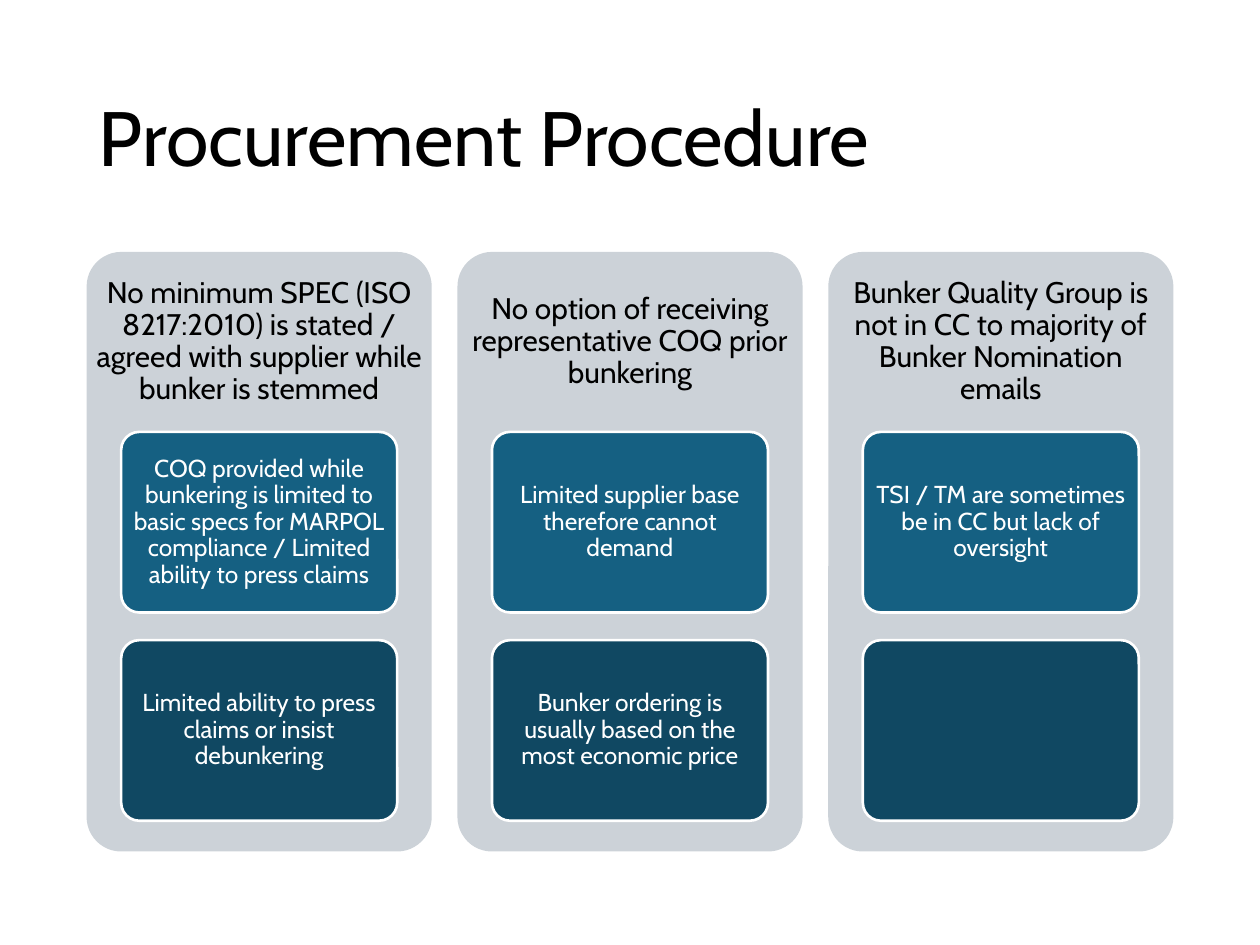
from pptx import Presentation
from pptx import util as u
from pptx.dml.color import RGBColor
from pptx.enum import shapes, text

HUES = {"ink": "000000", "white": "FFFFFF", "panel": "CCD2D8",
        "blue": "156082", "navy": "104862"}

COLS = [
    ("No minimum SPEC (ISO 8217:2010) is stated / agreed with supplier while "
     "bunker is stemmed",
     ["COQ provided while bunkering is limited to basic specs for MARPOL "
      "compliance / Limited ability to press claims",
      "Limited ability to press claims or insist debunkering"]),
    ("No option of receiving representative COQ prior bunkering",
     ["Limited supplier base therefore cannot demand",
      "Bunker ordering is usually based on the most economic price"]),
    ("Bunker Quality Group is not in CC to majority of Bunker Nomination emails",
     ["TSI / TM are sometimes be in CC but lack of oversight", ""]),
]


class Deck:
    def __init__(self, slide, font):
        self.slide = slide
        self.font = font

    def hue(self, name):
        return RGBColor.from_string(HUES[name])

    def put_text(self, shape, words, size, hue, align, pad):
        """Fill a shape's text frame; pad is (side, top and bottom) inset."""
        frame = shape.text_frame
        frame.word_wrap = True
        frame.vertical_anchor = text.MSO_ANCHOR.MIDDLE
        frame.margin_left = frame.margin_right = u.Pt(pad[0])
        frame.margin_top = frame.margin_bottom = u.Pt(pad[1])
        para = frame.paragraphs[0]
        para.alignment = align
        para.line_spacing = 0.9
        run = para.add_run()
        run.text = words
        run.font.name = self.font
        run.font.size = u.Pt(size)
        run.font.color.rgb = self.hue(hue)

    def label(self, box, words, size, align=text.PP_ALIGN.CENTER, pad=(5, 5)):
        shape = self.slide.shapes.add_textbox(*map(u.Pt, box))
        self.put_text(shape, words, size, "ink", align, pad)

    def block(self, box, fill, edge=None):
        shape = self.slide.shapes.add_shape(
            shapes.MSO_SHAPE.ROUNDED_RECTANGLE, *map(u.Pt, box))
        shape.adjustments[0] = 0.1
        shape.shadow.inherit = False
        shape.fill.solid()
        shape.fill.fore_color.rgb = self.hue(fill)
        if edge:
            shape.line.color.rgb = self.hue(edge)
            shape.line.width = u.Pt(1.5)
        else:
            shape.line.fill.background()
        return shape

    def card(self, box, fill, words):
        shape = self.block(box, fill, "white")
        if words:
            self.put_text(shape, words, 14, "white", text.PP_ALIGN.CENTER,
                          (2.8, 2.1))


def main():
    prs = Presentation()
    prs.slide_width, prs.slide_height = u.Pt(720), u.Pt(540)
    deck = Deck(prs.slides.add_slide(prs.slide_layouts[6]), "Cabin")

    left, top, wide, tall, step = 49.5, 144, 197.2, 342.6, 211.9
    head = 0.3 * tall
    inset = 0.1 * wide
    card_h, card_step = 103.2, 119

    deck.label((left, 28.75, 621, 104.4), "Procurement Procedure", 44,
               text.PP_ALIGN.LEFT, (7.2, 3.6))
    for col, (title, cards) in enumerate(COLS):
        x = left + col * step
        deck.block((x, top, wide, tall), "panel")
        deck.label((x, top, wide, head), title, 17)
        for row, (fill, words) in enumerate(zip(("blue", "navy"), cards)):
            y = top + head + row * card_step
            deck.card((x + inset, y, wide - 2 * inset, card_h), fill, words)

    prs.save("out.pptx")


if __name__ == "__main__":
    main()
